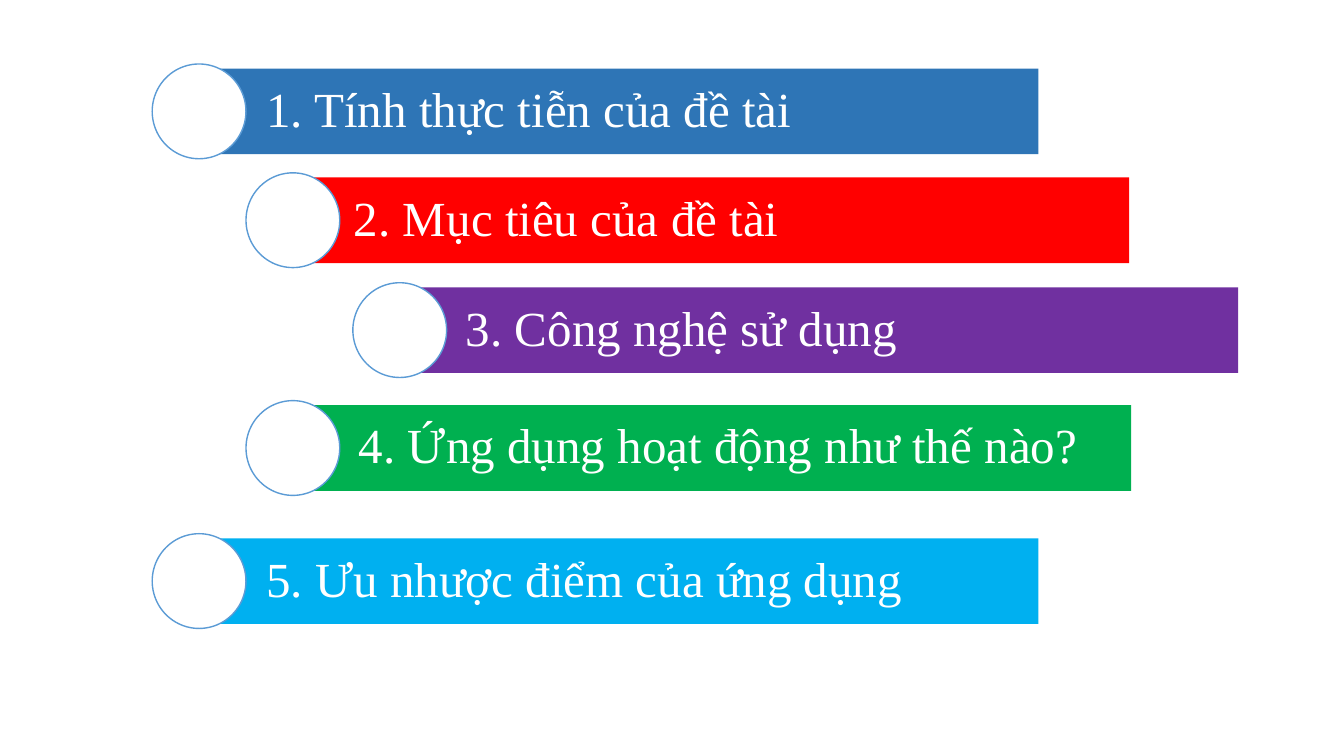
"""Build the five-part agenda slide of staggered bars and circles."""
from dataclasses import dataclass

from pptx import Presentation
from pptx import util as u
from pptx.dml.color import RGBColor
from pptx.enum import shapes, text
from pptx.shapes.autoshape import Shape
from pptx.slide import Slide

COLORS = {
    "white": "FFFFFF",
    "outline": "5B9BD5",
    "blue": "2E75B6",
    "red": "FF0000",
    "purple": "7030A0",
    "green": "00B050",
    "sky": "00B0F0",
}
BAR_HEIGHT = 0.85
CIRCLE_WIDTH, CIRCLE_HEIGHT = 0.93, 0.94
FRAME_FORMAT = {
    "word_wrap": True,
    "vertical_anchor": text.MSO_ANCHOR.MIDDLE,
    "margin_left": u.Inches(0.59),
    "margin_top": u.Inches(0.1),
    "margin_right": u.Inches(0.1),
    "margin_bottom": u.Inches(0.1),
}
PARAGRAPH_FORMAT = {"alignment": text.PP_ALIGN.LEFT, "line_spacing": 0.9}
FONT_FORMAT = {"name": "Times New Roman", "size": u.Pt(35)}


@dataclass(frozen=True)
class Topic:
    """One agenda entry, with its bar and circle positions in inches."""

    heading: str
    color: str
    circle_left: float
    bar_left: float
    top: float
    bar_width: float = 8.25


TOPICS = [
    Topic("1. Tính thực tiễn của đề tài", "blue", 1.51, 2.05, 0.68),
    Topic("2. Mục tiêu của đề tài", "red", 2.44, 2.92, 1.76, 8.28),
    Topic("3. Công nghệ sử dụng", "purple", 3.5, 4.03, 2.85),
    Topic("4. Ứng dụng hoạt động như thế nào?", "green", 2.44, 2.97, 4.02),
    Topic("5. Ưu nhược điểm của ứng dụng", "sky", 1.51, 2.05, 5.34),
]


def rgb(color: str) -> RGBColor:
    """Look up a named colour."""
    return RGBColor.from_string(COLORS[color])


def apply_format(target: object, values: dict[str, object]) -> None:
    """Set each format value on the target."""
    for attribute, value in values.items():
        setattr(target, attribute, value)


def add_filled(slide: Slide, kind: shapes.MSO_SHAPE, left: float, top: float,
               width: float, height: float, color: str) -> Shape:
    """Add a shadowless preset shape with a solid fill."""
    filled = slide.shapes.add_shape(
        kind, u.Inches(left), u.Inches(top), u.Inches(width), u.Inches(height))
    filled.shadow.inherit = False
    filled.fill.solid()
    filled.fill.fore_color.rgb = rgb(color)
    return filled


def add_topic(slide: Slide, topic: Topic) -> None:
    """Draw a topic's bar with its heading, then the circle over its left end."""
    bar = add_filled(slide, shapes.MSO_SHAPE.RECTANGLE, topic.bar_left, topic.top,
                     topic.bar_width, BAR_HEIGHT, topic.color)
    bar.line.fill.background()
    apply_format(bar.text_frame, FRAME_FORMAT)
    heading = bar.text_frame.paragraphs[0]
    apply_format(heading, PARAGRAPH_FORMAT)
    heading_run = heading.add_run()
    heading_run.text = topic.heading
    apply_format(heading_run.font, FONT_FORMAT)
    heading_run.font.color.rgb = rgb("white")

    circle_top = topic.top - (CIRCLE_HEIGHT - BAR_HEIGHT) / 2
    circle = add_filled(slide, shapes.MSO_SHAPE.OVAL, topic.circle_left, circle_top,
                        CIRCLE_WIDTH, CIRCLE_HEIGHT, "white")
    circle.line.color.rgb = rgb("outline")
    circle.line.width = u.Pt(1)


def main() -> None:
    """Create the presentation and save it."""
    deck = Presentation()
    deck.slide_width, deck.slide_height = u.Inches(13.33), u.Inches(7.5)
    agenda = deck.slides.add_slide(deck.slide_layouts[6])
    for topic in TOPICS:
        add_topic(agenda, topic)
    deck.save("out.pptx")


if __name__ == "__main__":
    main()
